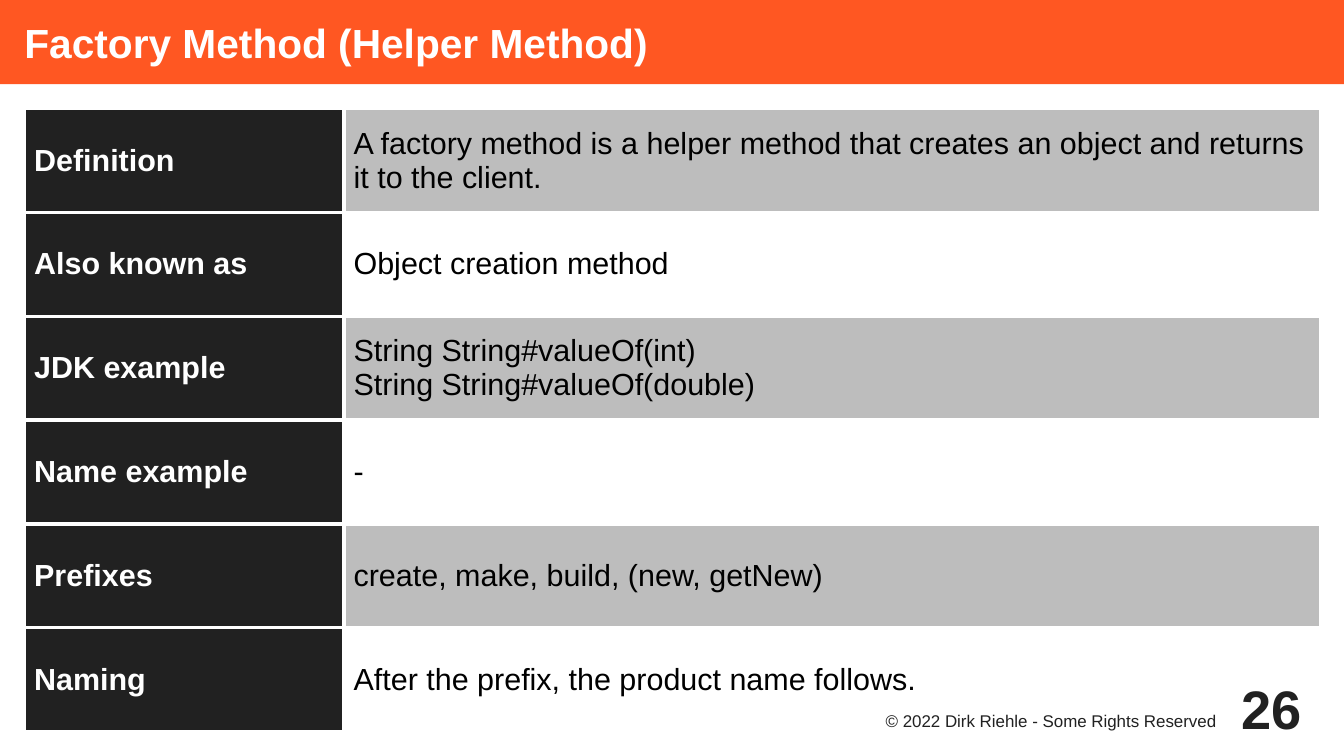
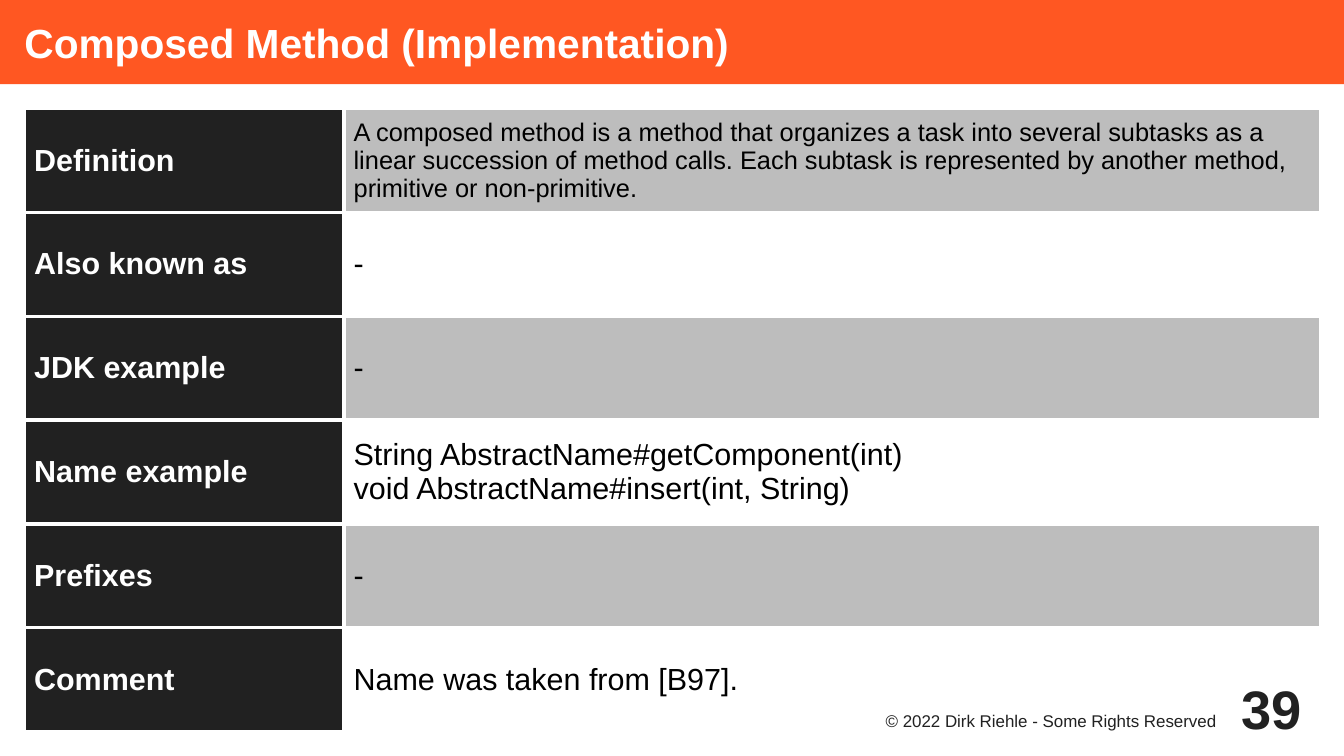
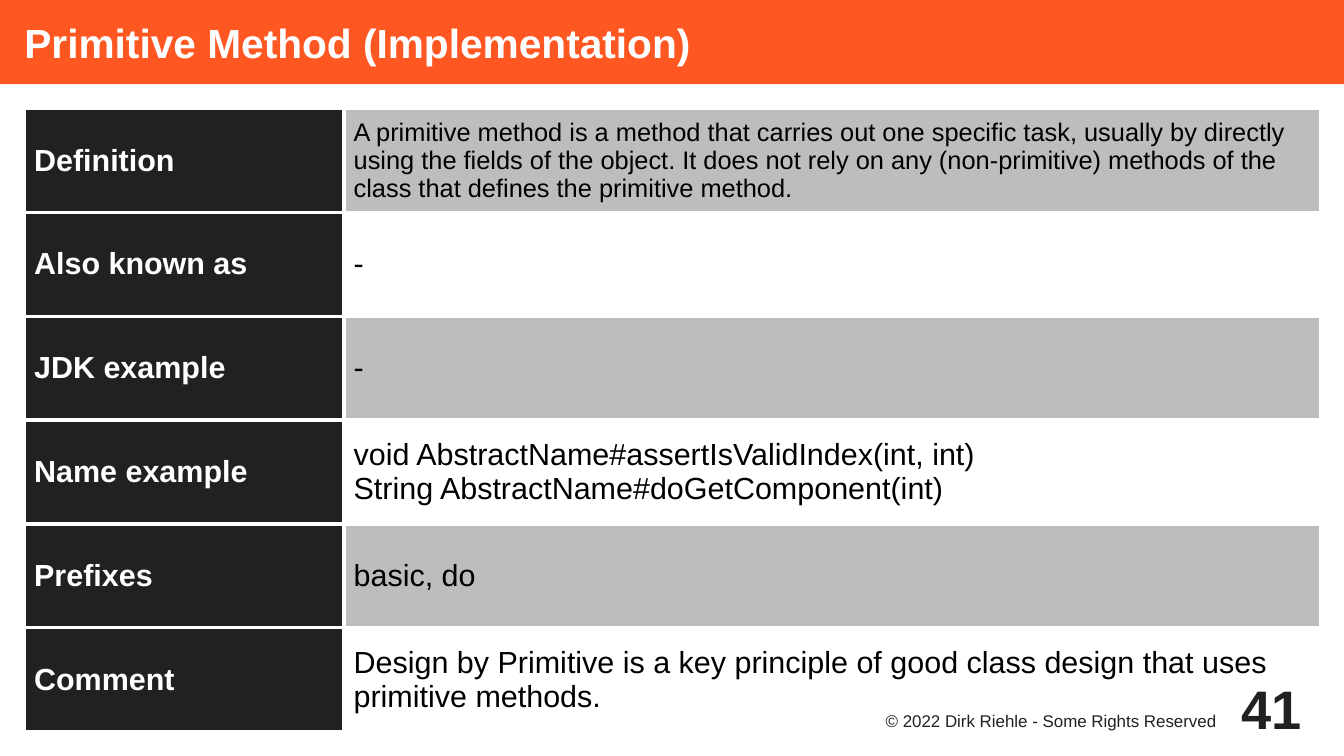
import dataclasses
import typing

import lxml.etree
import pptx
import pptx.dml.color
import pptx.enum.shapes
import pptx.enum.text
import pptx.oxml.ns
import pptx.util

Inches = pptx.util.Inches
Pt = pptx.util.Pt
Align = pptx.enum.text.PP_ALIGN
Anchor = pptx.enum.text.MSO_ANCHOR


# Shared look
@dataclasses.dataclass(frozen=True)
class Theme:
    font: str = "Arial"
    accent: str = "FF5722"
    dark: str = "212121"
    band: str = "BDBDBD"
    white: str = "FFFFFF"
    black: str = "000000"
    title: float = 24
    body: float = 18
    small: float = 15
    note: float = 10
    number: float = 32
    rule: float = 2.27


THEME = Theme()
WIDTH, HEIGHT = 11.02, 6.2
BAR = 0.69
MARGIN = 0.2
COLS = (2.62, 8.01)
GRID = 5.11
NOTICE = "© 2022 Dirk Riehle - Some Rights Reserved"


@dataclasses.dataclass(frozen=True)
class Row:
    label: str
    text: str
    size: float = THEME.body


@dataclasses.dataclass(frozen=True)
class Page:
    title: str
    number: int
    rows: tuple[Row, ...]


@dataclasses.dataclass(frozen=True)
class Style:
    size: float
    color: str
    bold: bool = False
    align: typing.Any = Align.LEFT


# Slide content
PAGES = (
    Page("Factory Method (Helper Method)", 26, (
        Row("Definition", "A factory method is a helper method that creates "
            "an object and returns it to the client."),
        Row("Also known as", "Object creation method"),
        Row("JDK example",
            "String String#valueOf(int)\nString String#valueOf(double)"),
        Row("Name example", "-"),
        Row("Prefixes", "create, make, build, (new, getNew)"),
        Row("Naming", "After the prefix, the product name follows."),
    )),
    Page("Composed Method (Implementation)", 39, (
        Row("Definition", "A composed method is a method that organizes a "
            "task into several subtasks as a linear succession of method "
            "calls. Each subtask is represented by another method, primitive "
            "or non-primitive.", THEME.small),
        Row("Also known as", "-"),
        Row("JDK example", "-"),
        Row("Name example", "String AbstractName#getComponent(int)\n"
            "void AbstractName#insert(int, String)"),
        Row("Prefixes", "-"),
        Row("Comment", "Name was taken from [B97]."),
    )),
    Page("Primitive Method (Implementation)", 41, (
        Row("Definition", "A primitive method is a method that carries out "
            "one specific task, usually by directly using the fields of the "
            "object. It does not rely on any (non-primitive) methods of the "
            "class that defines the primitive method.", THEME.small),
        Row("Also known as", "-"),
        Row("JDK example", "-"),
        Row("Name example", "void AbstractName#assertIsValidIndex(int, int)\n"
            "String AbstractName#doGetComponent(int)"),
        Row("Prefixes", "basic, do"),
        Row("Comment", "Design by Primitive is a key principle of good class "
            "design that uses primitive methods."),
    )),
)


# Helpers
def paint(fill: typing.Any, color: str) -> None:
    fill.solid()
    fill.fore_color.rgb = pptx.dml.color.RGBColor.from_string(color)


def write(frame: typing.Any, text: str, style: Style) -> None:
    frame.text = text
    frame.word_wrap = True
    for para in frame.paragraphs:
        para.alignment = style.align
        for run in para.runs:
            font = run.font
            font.name, font.size = THEME.font, Pt(style.size)
            font.bold = style.bold
            font.color.rgb = pptx.dml.color.RGBColor.from_string(style.color)


def inset(item: typing.Any, left: float, top: float,
          right: float, bottom: float) -> None:
    item.margin_left, item.margin_top = Inches(left), Inches(top)
    item.margin_right, item.margin_bottom = Inches(right), Inches(bottom)


def border(cell: typing.Any) -> None:
    qn = pptx.oxml.ns.qn
    props = cell._tc.get_or_add_tcPr()
    for index, side in enumerate("LRTB"):
        line = lxml.etree.Element(qn(f"a:ln{side}"), w=str(int(Pt(THEME.rule))))
        solid = lxml.etree.SubElement(line, qn("a:solidFill"))
        lxml.etree.SubElement(solid, qn("a:srgbClr"), val=THEME.white)
        props.insert(index, line)


def clean(deck: typing.Any) -> typing.Any:
    """Keep only the blank layout, without the template's placeholders."""
    blank = deck.slide_layouts[6]
    for layout in list(deck.slide_layouts):
        if layout is not blank and layout.name != blank.name:
            deck.slide_layouts.remove(layout)
    for base in (blank, deck.slide_master):
        for holder in list(base.placeholders):
            holder.element.getparent().remove(holder.element)
    return blank


# Slide parts
def header(slide: typing.Any, title: str) -> None:
    bar = slide.shapes.add_shape(
        pptx.enum.shapes.MSO_SHAPE.RECTANGLE,
        0, 0, Inches(WIDTH), Inches(BAR))
    bar.shadow.inherit = False
    paint(bar.fill, THEME.accent)
    bar.line.fill.background()
    frame = bar.text_frame
    inset(frame, MARGIN, 0, 0, 0)
    frame.vertical_anchor = Anchor.MIDDLE
    write(frame, title, Style(THEME.title, THEME.white, True))


def fill_cell(cell: typing.Any, text: str, back: str, style: Style) -> None:
    inset(cell, 0.08, 0.05, 0.08, 0.05)
    cell.vertical_anchor = Anchor.MIDDLE
    write(cell.text_frame, text, style)
    paint(cell.fill, back)
    border(cell)


def grid(slide: typing.Any, rows: tuple[Row, ...]) -> None:
    table = slide.shapes.add_table(
        len(rows), len(COLS), Inches(MARGIN), Inches(BAR + MARGIN),
        Inches(sum(COLS)), Inches(GRID)).table
    table.first_row = table.horz_banding = False
    for col, width in zip(table.columns, COLS):
        col.width = Inches(width)
    for index, row in enumerate(rows):
        table.rows[index].height = Inches(GRID / len(rows))
        back = THEME.white if index % 2 else THEME.band
        fill_cell(table.cell(index, 0), row.label, THEME.dark,
                  Style(THEME.body, THEME.white, True))
        fill_cell(table.cell(index, 1), row.text, back,
                  Style(row.size, THEME.black))


def footer(slide: typing.Any, number: int) -> None:
    note = slide.shapes.add_textbox(
        Inches(7.09), Inches(5.81), Inches(3.15), Inches(0.3)).text_frame
    inset(note, 0, 0.02, 0.27, 0)
    write(note, NOTICE, Style(THEME.note, THEME.dark, align=Align.RIGHT))

    count = slide.shapes.add_textbox(
        Inches(10.04), Inches(5.51), Inches(0.79), Inches(0.59)).text_frame
    inset(count, 0, 0, 0.16, 0)
    count.vertical_anchor = Anchor.MIDDLE
    write(count, str(number),
          Style(THEME.number, THEME.dark, True, Align.RIGHT))


def main() -> None:
    deck = pptx.Presentation()
    deck.slide_width, deck.slide_height = Inches(WIDTH), Inches(HEIGHT)
    blank = clean(deck)
    for page in PAGES:
        slide = deck.slides.add_slide(blank)
        header(slide, page.title)
        grid(slide, page.rows)
        footer(slide, page.number)
    deck.save("out.pptx")


if __name__ == "__main__":
    main()
